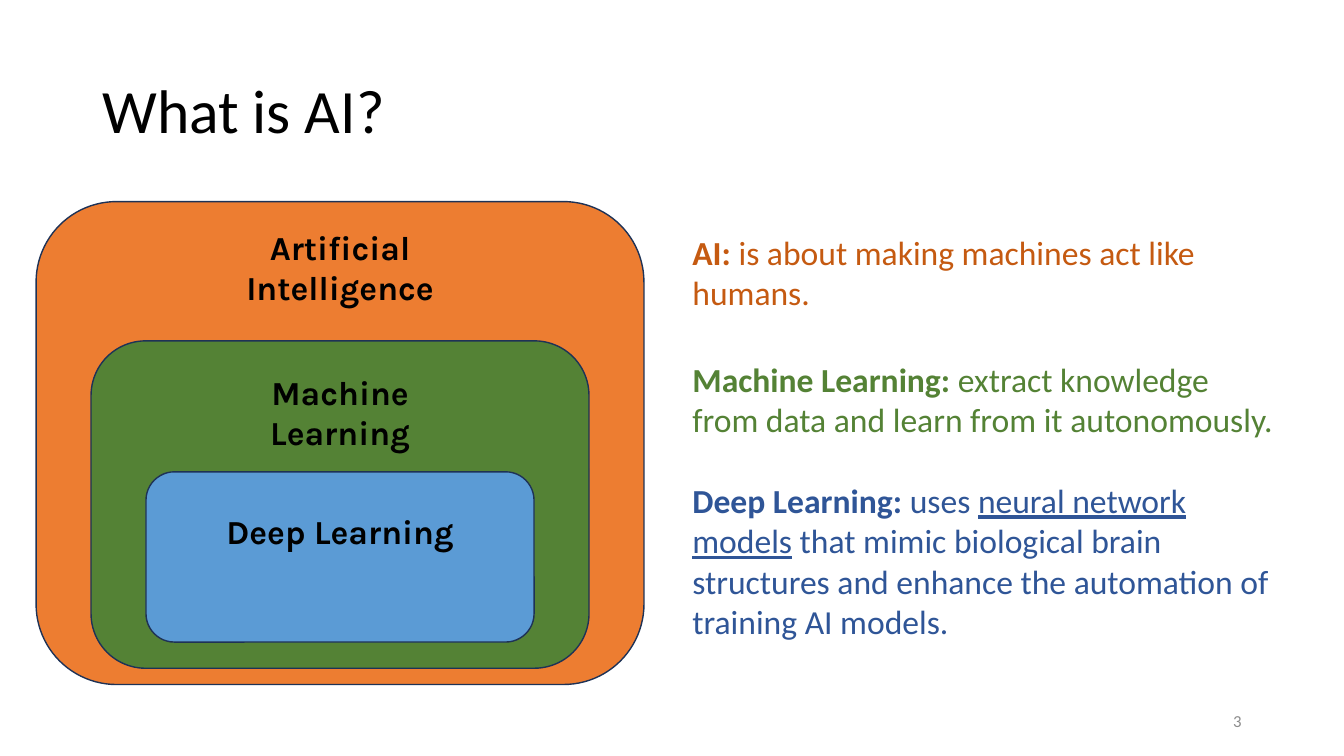
from dataclasses import dataclass

from pptx import Presentation
from pptx.dml.color import RGBColor
from pptx.enum.shapes import MSO_SHAPE
from pptx.enum.text import MSO_ANCHOR, PP_ALIGN
from pptx.util import Cm, Pt


@dataclass(frozen=True)
class Theme:
    """Colours, fonts and type sizes of the slide."""
    ink: str = "000000"
    muted: str = "8C8C8C"
    outline: str = "1E3256"
    orange: str = "ED7D31"
    green: str = "548235"
    blue: str = "5B9BD5"
    dark_orange: str = "C55A11"
    dark_blue: str = "2F5597"
    body_font: str = "Calibri"
    label_font: str = "Karla"
    title_size: int = 44
    body_size: int = 24
    number_size: int = 12


THEME = Theme()
AXIS = 8.57
OUTER_WIDTH = 15.32
WIDTH_STEP = 2.77
LABEL_WIDTH = 6.63

LEVELS = [
    ("Artificial Intelligence", THEME.orange, 5.08, 12.17, 5.59, 2.31),
    ("Machine Learning", THEME.green, 8.59, 8.25, 9.25, 1.27),
    ("Deep Learning", THEME.blue, 11.89, 4.29, 12.75, 1.27),
]

DEFINITIONS = [
    (THEME.dark_orange, 0, [
        ("AI:", "bold"),
        (" is about making machines act like humans.", "")]),
    (THEME.green, 33, [
        ("Machine Learning: ", "bold"),
        ("extract knowledge from data and learn from it autonomously.", "")]),
    (THEME.dark_blue, 29, [
        ("Deep Learning:", "bold"),
        (" uses ", ""),
        ("neural network models", "underline"),
        (" that mimic biological brain structures and enhance "
         "the automation of training AI models.", "")]),
]


def add_run(p, text, size, color, font=THEME.body_font, style=""):
    """Append one styled run to a paragraph."""
    r = p.add_run()
    r.text = text
    r.font.name = font
    r.font.size = Pt(size)
    r.font.color.rgb = RGBColor.from_string(color)
    r.font.bold = style == "bold"
    r.font.underline = style == "underline"


def add_text_frame(s, left, top, width, height, anchor=MSO_ANCHOR.TOP):
    """Add a wrapping text box and return its text frame."""
    tf = s.shapes.add_textbox(Cm(left), Cm(top), Cm(width), Cm(height)).text_frame
    tf.word_wrap = True
    tf.vertical_anchor = anchor
    return tf


def add_title(s, text):
    """Add the slide title."""
    p = add_text_frame(s, 2.33, 1.02, 29.21, 3.68, MSO_ANCHOR.MIDDLE).paragraphs[0]
    p.line_spacing = 0.9
    add_run(p, text, THEME.title_size, THEME.ink)


def add_level(s, depth, name, fill, top, height, label_top, label_height):
    """Add one nested rounded box with its centred label."""
    width = OUTER_WIDTH - depth * WIDTH_STEP
    sp = s.shapes.add_shape(MSO_SHAPE.ROUNDED_RECTANGLE, Cm(AXIS - width / 2),
                            Cm(top), Cm(width), Cm(height))
    sp.shadow.inherit = False
    sp.fill.solid()
    sp.fill.fore_color.rgb = RGBColor.from_string(fill)
    sp.line.color.rgb = RGBColor.from_string(THEME.outline)
    sp.line.width = Pt(1)
    tf = add_text_frame(s, AXIS - LABEL_WIDTH / 2, label_top, LABEL_WIDTH, label_height)
    p = tf.paragraphs[0]
    p.alignment = PP_ALIGN.CENTER
    add_run(p, name, THEME.body_size, THEME.ink, THEME.label_font, "bold")


def add_definitions(s):
    """Add the coloured definitions beside the diagram."""
    tf = add_text_frame(s, 17.2, 5.72, 15.32, 10.72)
    for i, (color, gap, runs) in enumerate(DEFINITIONS):
        p = tf.add_paragraph() if i else tf.paragraphs[0]
        p.space_before = Pt(gap)
        for text, style in runs:
            add_run(p, text, THEME.body_size, color, style=style)


def add_slide_number(s, number):
    """Add the page number at the lower right."""
    p = add_text_frame(s, 23.92, 17.66, 7.62, 1.01, MSO_ANCHOR.MIDDLE).paragraphs[0]
    p.alignment = PP_ALIGN.RIGHT
    add_run(p, number, THEME.number_size, THEME.muted)


def main():
    """Build the slide and save it."""
    prs = Presentation()
    prs.slide_width, prs.slide_height = Cm(33.87), Cm(19.05)
    s = prs.slides.add_slide(prs.slide_layouts[6])
    add_title(s, "What is AI?")
    add_definitions(s)
    for depth, level in enumerate(LEVELS):
        add_level(s, depth, *level)
    add_slide_number(s, "3")
    prs.save("out.pptx")


if __name__ == "__main__":
    main()
